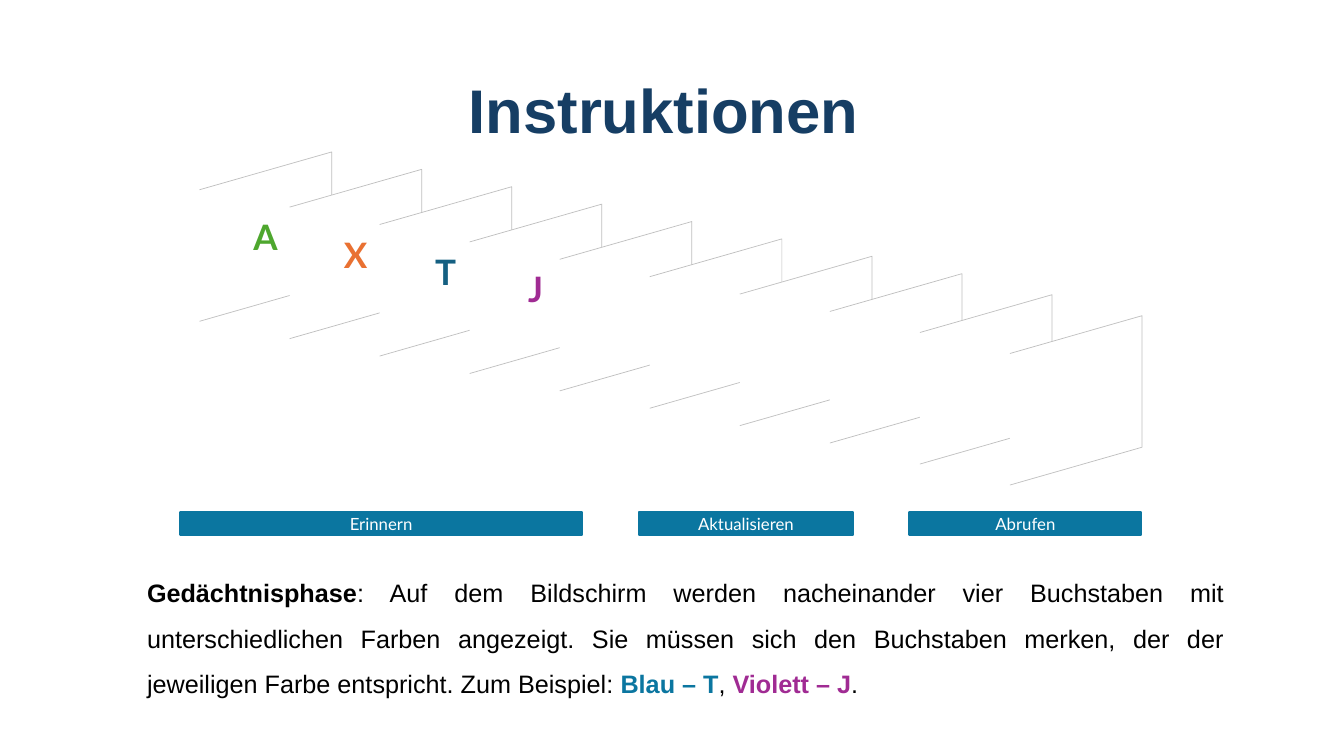
"""Build the slide that explains the memory phase of a letter task."""
from lxml import etree
from pptx import Presentation, util as u
from pptx.dml.color import RGBColor
from pptx.enum import shapes, text

WHITE = RGBColor(0xFF, 0xFF, 0xFF)
BLACK = RGBColor(0, 0, 0)
NAVY = RGBColor(0x16, 0x3E, 0x64)
TEAL = RGBColor(0x0B, 0x76, 0xA0)
GREEN = RGBColor(0x4E, 0xA7, 0x2E)
ORANGE = RGBColor(0xE9, 0x71, 0x32)
BLUE = RGBColor(0x15, 0x60, 0x82)
VIOLET = RGBColor(0xA0, 0x2B, 0x93)
EDGE = RGBColor(0xBF, 0xBF, 0xBF)

WIDTH, HEIGHT = u.Inches(13.33), u.Inches(7.5)
LETTERS = [("A", GREEN), ("X", ORANGE), ("T", BLUE), ("J", VIOLET)]
CARD_COUNT = 10
PHASES = [("Erinnern", 13.43, 29.86), ("Aktualisieren", 47.56, 15.9),
          ("Abrufen", 67.67, 17.25)]


def across(share):
    """Turn a percentage of the slide's width into a length."""
    return u.Emu(round(WIDTH * share / 100))


def down(share):
    """Turn a percentage of the slide's height into a length."""
    return u.Emu(round(HEIGHT * share / 100))


def frame(left, top, width, height):
    """Turn four percentages into a position and a size."""
    return across(left), down(top), across(width), down(height)


def write(s, runs, size, font="Arial", align=text.PP_ALIGN.CENTER,
          anchor=text.MSO_ANCHOR.MIDDLE, spacing=None, after=None):
    """Fill a shape with one paragraph of (text, colour, bold) runs."""
    tf = s.text_frame
    tf.word_wrap = True
    tf.vertical_anchor = anchor
    p = tf.paragraphs[0]
    p.alignment = align
    p.line_spacing = spacing
    p.space_after = after
    for words, color, bold in runs:
        r = p.add_run()
        r.text = words
        r.font.name, r.font.size, r.font.bold = font, u.Pt(size), bold
        r.font.color.rgb = color


def paint(s, fill, line, weight):
    """Give a shape a flat fill and an outline."""
    s.shadow.inherit = False
    s.fill.solid()
    s.fill.fore_color.rgb = fill
    s.line.color.rgb = line
    s.line.width = u.Pt(weight)


def add_bar(sp, label, left, width):
    """Add the bar that names a phase."""
    s = sp.add_shape(shapes.MSO_SHAPE.RECTANGLE, *frame(left, 67.73, width, 3.07))
    paint(s, TEAL, TEAL, 1.5)
    write(s, [(label, WHITE, False)], 12, font="Lato")


def add_card(sp, i):
    """Add a slanted card that is open on its left side."""
    left = 14.85 + 6.7 * i
    top = 20.1 + 2.3 * i + 0.48 * max(0, i - 7)
    right, slant, side = left + 9.83, 5, 17.4
    corners = [(right, top), (right, top + side), (left, top + slant + side)]
    outline = sp.build_freeform(across(left), down(top + slant))
    outline.add_line_segments([(across(x), down(y)) for x, y in corners], close=False)
    s = outline.convert_to_shape()
    paint(s, WHITE, EDGE, 0.5)
    if i < len(LETTERS):
        letter, color = LETTERS[i]
        write(s, [(letter, color, True)], 25, font="Lato")


def main():
    """Build and save the slide."""
    prs = Presentation()
    prs.slide_width, prs.slide_height = WIDTH, HEIGHT
    sp = prs.slides.add_slide(prs.slide_layouts[6]).shapes

    body = sp.add_textbox(*frame(10.2, 73.73, 81.62, 18.8))
    write(body, [
        ("Gedächtnisphase", BLACK, True),
        (": Auf dem Bildschirm werden nacheinander vier Buchstaben mit "
         "unterschiedlichen Farben angezeigt. Sie müssen sich den Buchstaben merken, "
         "der der jeweiligen Farbe entspricht. Zum Beispiel: ", BLACK, False),
        ("Blau – T", TEAL, True),
        (", ", BLACK, False),
        ("Violett – J", VIOLET, True),
        (".", BLACK, False),
    ], 18, align=text.PP_ALIGN.JUSTIFY, anchor=text.MSO_ANCHOR.TOP,
        spacing=1.5, after=u.Pt(6))
    body.text_frame.auto_size = text.MSO_AUTO_SIZE.SHAPE_TO_FIT_TEXT

    for phase in PHASES:
        add_bar(sp, *phase)
    for i in range(CARD_COUNT):
        add_card(sp, i)

    title = sp.add_textbox(*frame(6.9, 5.33, 86.27, 19.33))
    write(title, [("Instruktionen ", NAVY, True)], 44, spacing=0.9)

    prs.save("out.pptx")


if __name__ == "__main__":
    main()
